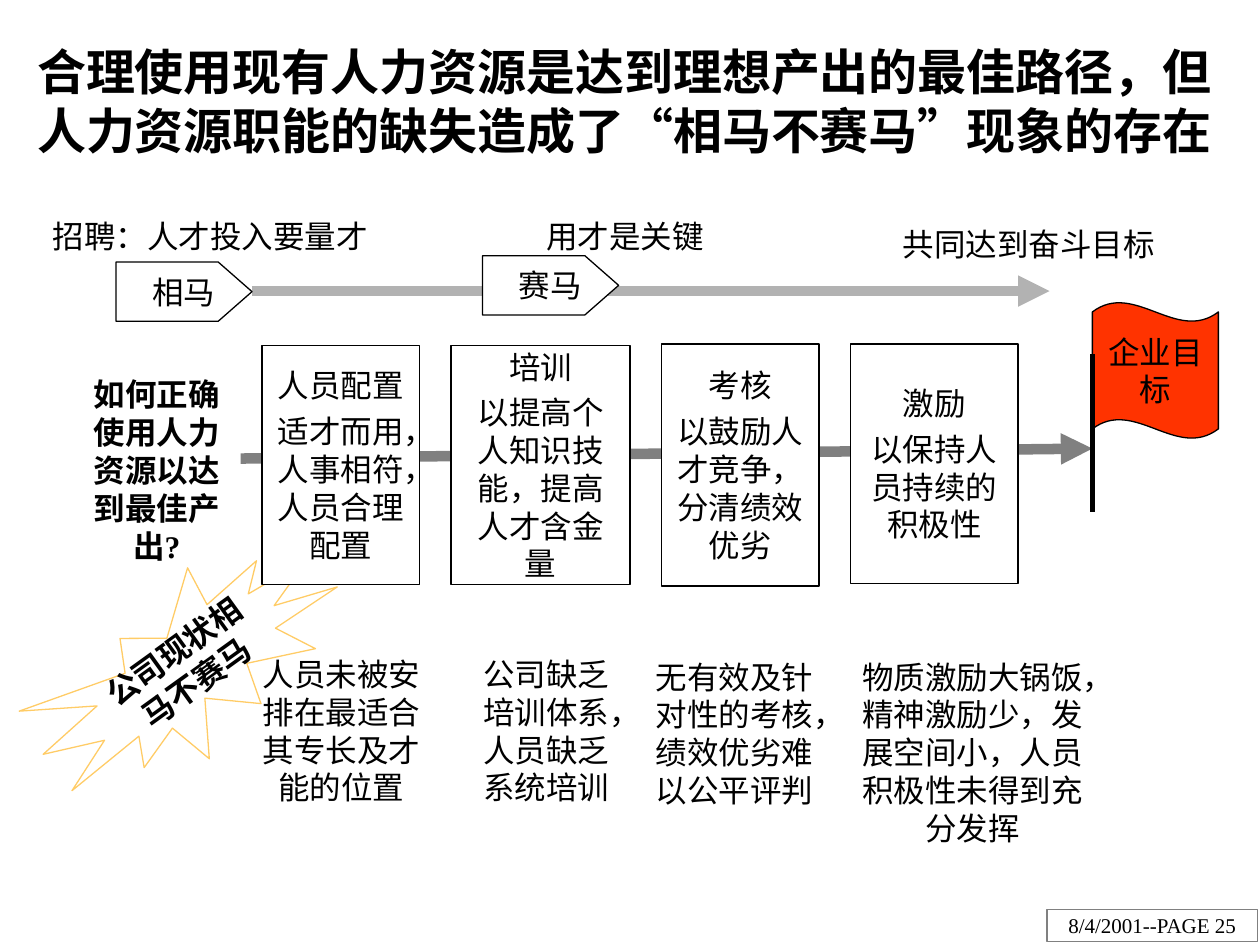
from lxml import etree
from pptx import Presentation
from pptx.dml.color import RGBColor
from pptx.enum import shapes, text
from pptx.oxml.ns import qn
from pptx.util import Inches, Pt

BLACK = RGBColor(0, 0, 0)
WHITE = RGBColor(255, 255, 255)
GRAY = RGBColor(0x80, 0x80, 0x80)
SILVER = RGBColor(0xB2, 0xB2, 0xB2)
GOLD = RGBColor(0xFF, 0xCC, 0x66)
RED = RGBColor(0xFF, 0x33, 0)
SERIF, SANS = "Times New Roman", "Noto Sans CJK SC"
KIND = shapes.MSO_SHAPE
TOP, MIDDLE = text.MSO_ANCHOR.TOP, text.MSO_ANCHOR.MIDDLE

# left, top, width, height, heading, aim
STEPS = [
    (2.08, 2.74, 1.25, 1.9, "人员配置", "适才而用，人事相符，人员合理配置"),
    (3.58, 2.74, 1.42, 1.9, "培训", "以提高个人知识技能，提高人才含金量"),
    (5.25, 2.73, 1.25, 1.92, "考核", "以鼓励人才竞争，分清绩效优劣"),
    (6.75, 2.73, 1.33, 1.9, "激励", "以保持人员持续的积极性"),
]
FLAWS = [
    (1.92, 5.15, 1.58, 1.5, "人员未被安排在最适合其专长及才能的位置"),
    (3.67, 5.15, 1.33, 1.4, "公司缺乏培训体系，人员缺乏系统培训"),
    (5.08, 5.17, 1.5, 1.5, "无有效及针对性的考核，绩效优劣难以公平评判"),
    (6.69, 5.17, 2.06, 1.75, "物质激励大锅饭，精神激励少，发展空间小，人员积极性未得到充分发挥"),
]
STAGES = [
    (-0.33, 1.67, 4, 0.33, "招聘：人才投入要量才"),
    (4.17, 1.67, 1.58, 0.4, "用才是关键"),
    (7, 1.74, 2.33, 0.48, "共同达到奋斗目标"),
]
TAGS = [(0.92, 2.08, "相马"), (3.83, 2.03, "赛马")]


def write(shape, lines, anchor=MIDDLE, wrap=True, side=0.1, edge=0.05, **look):
    frame = shape.text_frame
    frame.text = "\n".join(lines)
    layout = dict(word_wrap=wrap, vertical_anchor=anchor,
                  margin_left=Inches(side), margin_right=Inches(side),
                  margin_top=Inches(edge), margin_bottom=Inches(edge))
    for name, value in layout.items():
        setattr(frame, name, value)
    style = dict(name=SERIF, size=Pt(18), bold=False) | look
    for row, para in enumerate(frame.paragraphs):
        para.alignment = text.PP_ALIGN.CENTER
        if row:
            para.space_before = Pt(4.5)
        for run in para.runs:
            for name, value in style.items():
                setattr(run.font, name, value)
            run.font.color.rgb = BLACK


def shape(slide, kind, box, fill=WHITE, line=BLACK):
    item = slide.shapes.add_shape(kind, *map(Inches, box))
    item.shadow.inherit = False
    item.fill.solid()
    item.fill.fore_color.rgb = fill
    if line is None:
        item.line.fill.background()
    else:
        item.line.color.rgb = line
        item.line.width = Pt(0.75)
    return item


def label(slide, box, words):
    item = slide.shapes.add_textbox(*map(Inches, box))
    write(item, [words], anchor=TOP)


def rule(slide, ends, color, width, arrow=False):
    """Draw a straight line, with an arrowhead at its end if asked."""
    line = slide.shapes.add_connector(
        shapes.MSO_CONNECTOR.STRAIGHT, *map(Inches, ends))
    line.line.color.rgb = color
    line.line.width = Pt(width)
    if arrow:
        etree.SubElement(line.line._get_or_add_ln(), qn("a:tailEnd"), type="triangle")
    etree.SubElement(line._element.spPr, qn("a:effectLst"))


def head(slide, box):
    title = slide.shapes.title
    for name, value in zip(("left", "top", "width", "height"), box):
        setattr(title, name, Inches(value))
    write(title, ["合理使用现有人力资源是达到理想产出的最佳路径，但"
                  "人力资源职能的缺失造成了“相马不赛马”现象的存在"],
          name=SANS, size=Pt(28), bold=True)


def track(slide):
    """Place the stage labels and the tags on the upper arrow."""
    for *box, words in STAGES:
        label(slide, box, words)
    for left, top, words in TAGS:
        tag = shape(slide, KIND.PENTAGON, (left, top, 1.08, 0.47))
        tag.adjustments[0] = 0.57
        write(tag, [words])
        tag.text_frame.margin_left = Inches(0.23)


def flag(slide, left, top):
    cloth = shape(slide, KIND.WAVE, (left, top, 1, 1.08), RED)
    cloth.adjustments[0] = 0.07
    write(cloth, ["企业目标"])
    rule(slide, (left, top + 0.41, left, top + 1.66), BLACK, 3)


def steps(slide):
    for *box, name, aim in STEPS:
        write(shape(slide, KIND.FLOWCHART_PROCESS, box), [name, aim])
    for *box, words in FLAWS:
        label(slide, box, words)


def burst(slide, box):
    star = shape(slide, KIND.EXPLOSION1, box, line=GOLD)
    star.rotation = 324.2
    write(star, ["公司现状相马不赛马"], bold=True)


def question(slide, box):
    item = shape(slide, KIND.RECTANGLE, box, line=None)
    write(item, ["如何正确使用人力资源以达到最佳产出?"],
          anchor=TOP, side=0.16, edge=0, bold=True)


def foot(slide, box):
    item = shape(slide, KIND.RECTANGLE, box, line=GRAY)
    write(item, ["8/4/2001--PAGE 25"], wrap=False, size=Pt(12))


def main():
    deck = Presentation()
    deck.slide_width, deck.slide_height = Inches(10), Inches(7.5)
    slide = deck.slides.add_slide(deck.slide_layouts[5])
    foot(slide, (8.31, 7.22, 1.67, 0.25))
    rule(slide, (2, 2.31, 8.33, 2.31), SILVER, 6, arrow=True)
    rule(slide, (1, 3.65, 8.67, 3.56), GRAY, 6, arrow=True)
    head(slide, (0.08, 0.17, 9.75, 1.25))
    burst(slide, (0.17, 4.65, 2.67, 1.33))
    track(slide)
    flag(slide, 8.67, 2.4)
    steps(slide)
    question(slide, (0.58, 2.98, 1.33, 1.5))
    deck.save("out.pptx")


if __name__ == "__main__":
    main()
